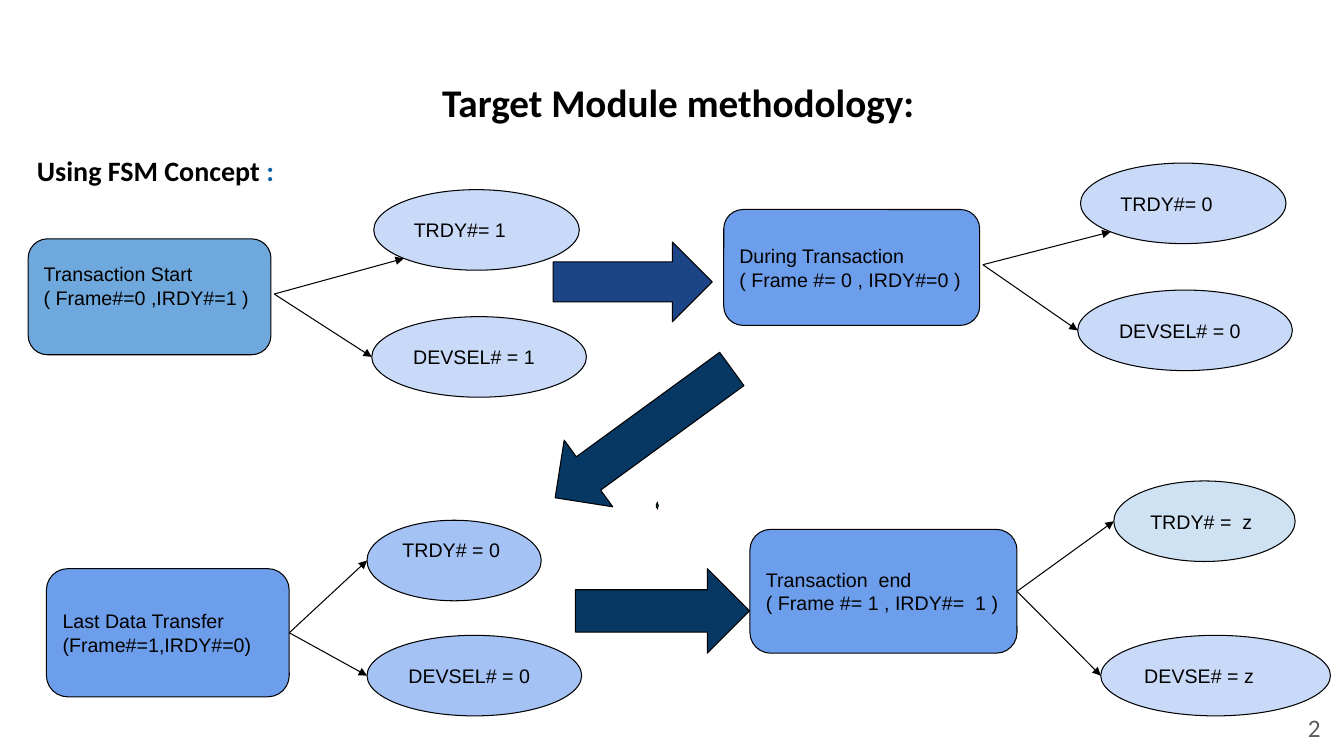
from pptx import Presentation
from pptx.dml.color import RGBColor
from pptx.enum.shapes import MSO_CONNECTOR, MSO_SHAPE
from pptx.enum.text import MSO_ANCHOR, MSO_AUTO_SIZE, PP_ALIGN
from pptx.oxml.ns import qn
from pptx.util import Cm, Pt
from lxml import etree

ROUNDED, OVAL, ARROW = MSO_SHAPE.ROUNDED_RECTANGLE, MSO_SHAPE.OVAL, MSO_SHAPE.RIGHT_ARROW
STRAIGHT = MSO_CONNECTOR.STRAIGHT
TOP, MIDDLE = MSO_ANCHOR.TOP, MSO_ANCHOR.MIDDLE
LEFT, CENTER, RIGHT = PP_ALIGN.LEFT, PP_ALIGN.CENTER, PP_ALIGN.RIGHT
NO_FIT = MSO_AUTO_SIZE.NONE

BLACK, NAVY, SKY, BLUE, PALE, MID = "000000", "073763", "6FA8DC", "6D9EEB", "C9DAF8", "A4C2F4"
OVAL_H = 2.03
LINE_H = 0.57
SITE = 0.146

HEADING = {"name": "Calibri", "size": Pt(28), "bold": True}
SUBHEADING = {"name": "Calibri", "size": Pt(20), "bold": True}
NUMBER = {"name": "Calibri", "size": Pt(18), "bold": False}
LABEL = {"name": "Arial", "size": Pt(14), "bold": False}

STATES = [
    {"box": (0.71, 6.02, 6.12, 2.92), "fill": SKY, "lift": LINE_H, "port": (0.08, -0.07),
     "lines": ["Transaction Start", "( Frame#=0 ,IRDY#=1 )"],
     "signals": [("TRDY#= 1", (8.71, -1.24, 5.18), PALE, 0, True),
                 ("DEVSEL# = 1", (8.66, 1.96, 5.41), PALE, 0, False)]},
    {"box": (18.24, 5.28, 6.45, 2.92), "fill": BLUE, "lift": 0, "port": (0.08, -0.07),
     "lines": ["During Transaction", "( Frame #= 0 , IRDY#=0 )"],
     "signals": [("TRDY#= 0", (8.99, -1.17, 5.18), PALE, 0, True),
                 ("DEVSEL# = 0", (8.92, 2.03, 5.41), PALE, 0, False)]},
    {"box": (1.17, 14.33, 6.12, 3.23), "fill": BLUE, "lift": 0, "port": (0, 0),
     "lines": ["Last Data Transfer", "(Frame#=1,IRDY#=0)"],
     "signals": [("TRDY# = 0", (8.08, -1.22, 4.39), MID, LINE_H, False),
                 ("DEVSEL# = 0", (8.08, 1.68, 5.41), MID, 0, False)]},
    {"box": (18.9, 13.34, 6.73, 3.12), "fill": BLUE, "lift": 0, "port": (0, 0),
     "lines": ["Transaction  end", "( Frame #= 1 , IRDY#=  1 )"],
     "signals": [("TRDY# =  z", (9.17, -1.22, 4.57), "CFE2F3", 0, False),
                 ("DEVSE# = z", (8.84, 2.67, 5.79), PALE, 0, False)]},
]
ARROWS = [
    ((13.94, 6.1, 4.01, 2.01), 0, "1C4587"),
    ((13.46, 9.88, 5.51, 2.08), 143.9, NAVY),
    ((14.5, 14.33, 4.39, 2.13), 0, NAVY),
    ((16.54, 12.65, 0.05, 0.18), 0, "006600"),
]


def rgb(value):
    return RGBColor.from_string(value)


def apply(obj, fmt):
    for name, value in fmt.items():
        setattr(obj, name, value)


def place(sp, box):
    apply(sp, dict(zip(("left", "top", "width", "height"), map(Cm, box))))


def write(tf, lines, font, align=LEFT, anchor=MIDDLE, pad_top=0.25, pad_bottom=0.25):
    apply(tf, {"word_wrap": True, "auto_size": NO_FIT, "vertical_anchor": anchor,
               "margin_left": Cm(0.25), "margin_right": Cm(0.25),
               "margin_top": Cm(pad_top), "margin_bottom": Cm(pad_bottom)})
    for i, runs in enumerate(lines):
        p = tf.paragraphs[0] if i == 0 else tf.add_paragraph()
        apply(p, {"alignment": align, "space_before": Pt(0)})
        for text, color in runs:
            r = p.add_run()
            r.text = text
            apply(r.font, font)
            r.font.color.rgb = rgb(color)


def add_block(s, kind, box, fill, rotation=0):
    sp = s.shapes.add_shape(kind, *map(Cm, box))
    sp.rotation = rotation
    sp.shadow.inherit = False
    sp.fill.solid()
    sp.fill.fore_color.rgb = rgb(fill)
    sp.line.color.rgb = rgb(BLACK)
    sp.line.width = Pt(0.75)
    return sp


def add_label(s, kind, box, fill, lines, lift):
    sp = add_block(s, kind, box, fill)
    pads = {"pad_top": 0, "pad_bottom": lift} if lift else {}
    write(sp.text_frame, [[(line, BLACK)] for line in lines], LABEL, **pads)


def add_link(s, start, end):
    cx = s.shapes.add_connector(STRAIGHT, *map(Cm, start + end))
    cx.line.color.rgb = rgb(BLACK)
    cx.line.width = Pt(0.75)
    etree.SubElement(cx.line._get_or_add_ln(), qn("a:tailEnd"), type="triangle")
    etree.SubElement(cx._element.spPr, qn("a:effectLst"))


def add_state(s, box, fill, lift, port, lines, signals):
    x, y, w, h = box
    add_label(s, ROUNDED, box, fill, lines, lift)
    start = (x + w + port[0], y + h / 2 + port[1])
    for text, (dx, dy, ow), color, raised, low_entry in signals:
        ox, oy = x + dx, y + dy
        add_label(s, OVAL, (ox, oy, ow, OVAL_H), color, [text], raised)
        if low_entry:
            end = (ox + SITE * ow, oy + (1 - SITE) * OVAL_H)
        else:
            end = (ox, oy + OVAL_H / 2)
        add_link(s, start, end)


def add_title(s, box):
    sp = s.shapes.title
    place(sp, box)
    write(sp.text_frame, [[("Target Module methodology:", BLACK)]], HEADING, CENTER,
          pad_top=0.13, pad_bottom=0.13)


def add_body(s, box):
    sp = s.placeholders[1]
    place(sp, box)
    write(sp.text_frame, [[("Using FSM Concept", BLACK), (" :", "0B5F9F")]], SUBHEADING,
          anchor=TOP, pad_top=0.13, pad_bottom=0.13)
    pPr = sp.text_frame.paragraphs[0]._p.get_or_add_pPr()
    pPr.set("marL", str(Cm(0.68)))
    pPr.set("indent", "0")
    etree.SubElement(pPr, qn("a:buNone"))


def add_number(s, box):
    tb = s.shapes.add_textbox(*map(Cm, box))
    write(tb.text_frame, [[("2", "5D5D5E")]], NUMBER, RIGHT, pad_top=0.13, pad_bottom=0.13)


def main():
    prs = Presentation()
    prs.slide_width, prs.slide_height = Cm(33.87), Cm(19.05)
    s = prs.slides.add_slide(prs.slide_layouts[1])
    add_title(s, (8.53, 1.35, 17.12, 2.41))
    add_body(s, (0, 3.73, 33.38, 15.3))
    for state in STATES:
        add_state(s, **state)
    for box, rotation, fill in ARROWS:
        add_block(s, ARROW, box, fill, rotation)
    add_number(s, (25.91, 17.83, 7.62, 1.02))
    prs.save("out.pptx")


if __name__ == "__main__":
    main()
